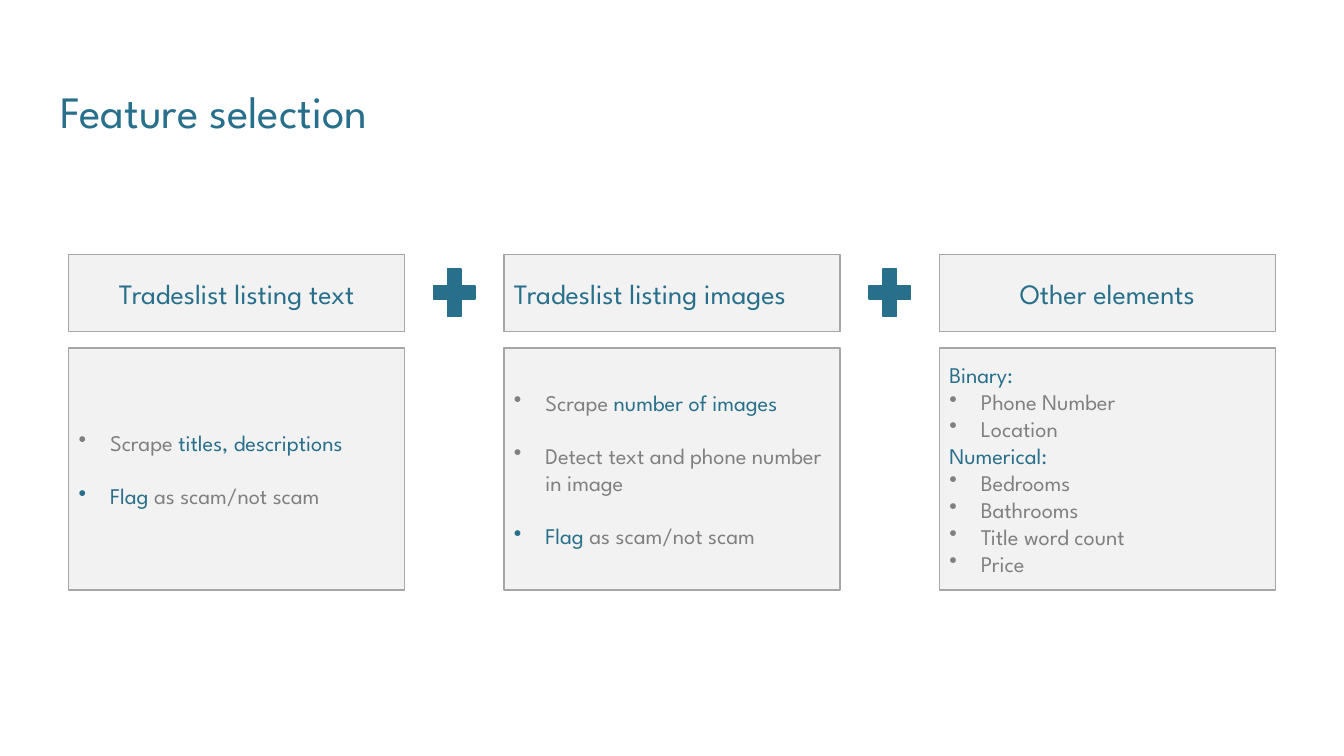
import pptx
import pptx.util
import pptx.dml.color
import pptx.enum.shapes
import pptx.enum.text
import lxml.etree
from dataclasses import dataclass

Pt = pptx.util.Pt
RGB = pptx.dml.color.RGBColor
Shape = pptx.enum.shapes.MSO_SHAPE
Align = pptx.enum.text.PP_ALIGN
Anchor = pptx.enum.text.MSO_ANCHOR


@dataclass(frozen=True)
class Theme:
    font: str = "League Spartan"
    teal: RGB = RGB(0x27, 0x6F, 0x8B)
    gray: RGB = RGB(0x80, 0x80, 0x80)
    pale: RGB = RGB(0xF2, 0xF2, 0xF2)
    edge: RGB = RGB(0xA6, 0xA6, 0xA6)
    title: int = 32
    head: int = 20
    body: int = 16


theme = Theme()


def add_run(para, text, size, color):
    run = para.add_run()
    run.text = text
    run.font.name = theme.font
    run.font.size = Pt(size)
    run.font.color.rgb = color


def add_box(kind, left, top, width, height, fill, line):
    box = slide.shapes.add_shape(kind, Pt(left), Pt(top), Pt(width), Pt(height))
    box.shadow.inherit = False
    box.fill.solid()
    box.fill.fore_color.rgb = fill
    box.line.color.rgb = line
    box.line.width = Pt(1)
    box.text_frame.word_wrap = True
    box.text_frame.vertical_anchor = Anchor.MIDDLE
    return box


deck = pptx.Presentation()
deck.slide_width, deck.slide_height = Pt(960), Pt(540)
slide = deck.slides.add_slide(deck.slide_layouts[5])

title = slide.shapes.title
title.left, title.top, title.width, title.height = Pt(36), Pt(56), Pt(673), Pt(46)
title.text_frame.auto_size = pptx.enum.text.MSO_AUTO_SIZE.NONE
title.text_frame.vertical_anchor = Anchor.TOP
para = title.text_frame.paragraphs[0]
para.alignment = Align.LEFT
add_run(para, "Feature selection", theme.title, theme.teal)

# Each column: heading, alignment, gap between items, items.
# An item is a bullet flag and its runs.
teal, gray = theme.teal, theme.gray
flag = (True, [("Flag", teal), (" as scam/not scam", gray)])
columns = [
    ("Tradeslist listing text", Align.CENTER, 19, [
        (True, [("Scrape ", gray), ("titles, descriptions", teal)]),
        flag,
    ]),
    ("Tradeslist listing images", Align.LEFT, 19, [
        (True, [("Scrape ", gray), ("number of images", teal)]),
        (True, [("Detect text and phone number in image", gray)]),
        flag,
    ]),
    ("Other elements", Align.CENTER, 0, [
        (False, [("Binary:", teal)]),
        (True, [("Phone Number", gray)]),
        (True, [("Location", gray)]),
        (False, [("Numerical:", teal)]),
        (True, [("Bedrooms", gray)]),
        (True, [("Bathrooms", gray)]),
        (True, [("Title word count", gray)]),
        (True, [("Price", gray)]),
    ]),
]

edge, wide, gap = 49, 240, 71
top, tall = 182, 55
plus_w, plus_h = 40, 46
indent = Pt(22.5)

for col, (head, align, space, items) in enumerate(columns):
    left = edge + col * (wide + gap)
    box = add_box(Shape.RECTANGLE, left, top, wide, tall, theme.pale, theme.edge)
    para = box.text_frame.paragraphs[0]
    para.alignment = align
    add_run(para, head, theme.head, teal)

    box = add_box(Shape.RECTANGLE, left, 248.5, wide, 173, theme.pale, theme.edge)
    frame = box.text_frame
    for row, (dot, runs) in enumerate(items):
        para = frame.add_paragraph() if row else frame.paragraphs[0]
        para.alignment = Align.LEFT
        para.space_before = Pt(space if row else 0)
        for text, color in runs:
            add_run(para, text, theme.body, color)
        if dot:
            props = para._p.get_or_add_pPr()
            props.set("marL", str(indent))
            props.set("indent", str(-indent))
            mark = lxml.etree.SubElement(props, pptx.oxml.ns.qn("a:buChar"))
            mark.set("char", "•")

    if col:
        add_box(Shape.MATH_PLUS, left - (gap + plus_w) / 2,
                top + (tall - plus_h) / 2 - 0.5, plus_w, plus_h, teal, teal)

deck.save("out.pptx")
